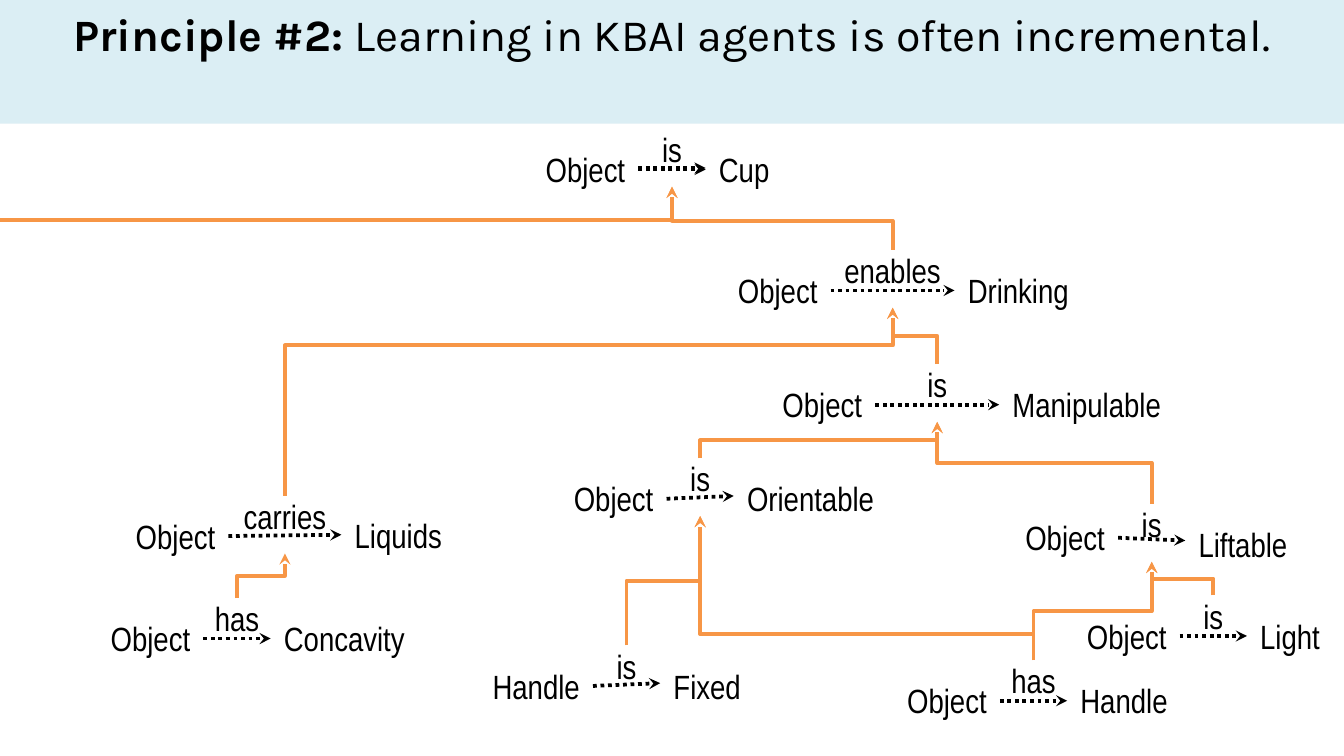
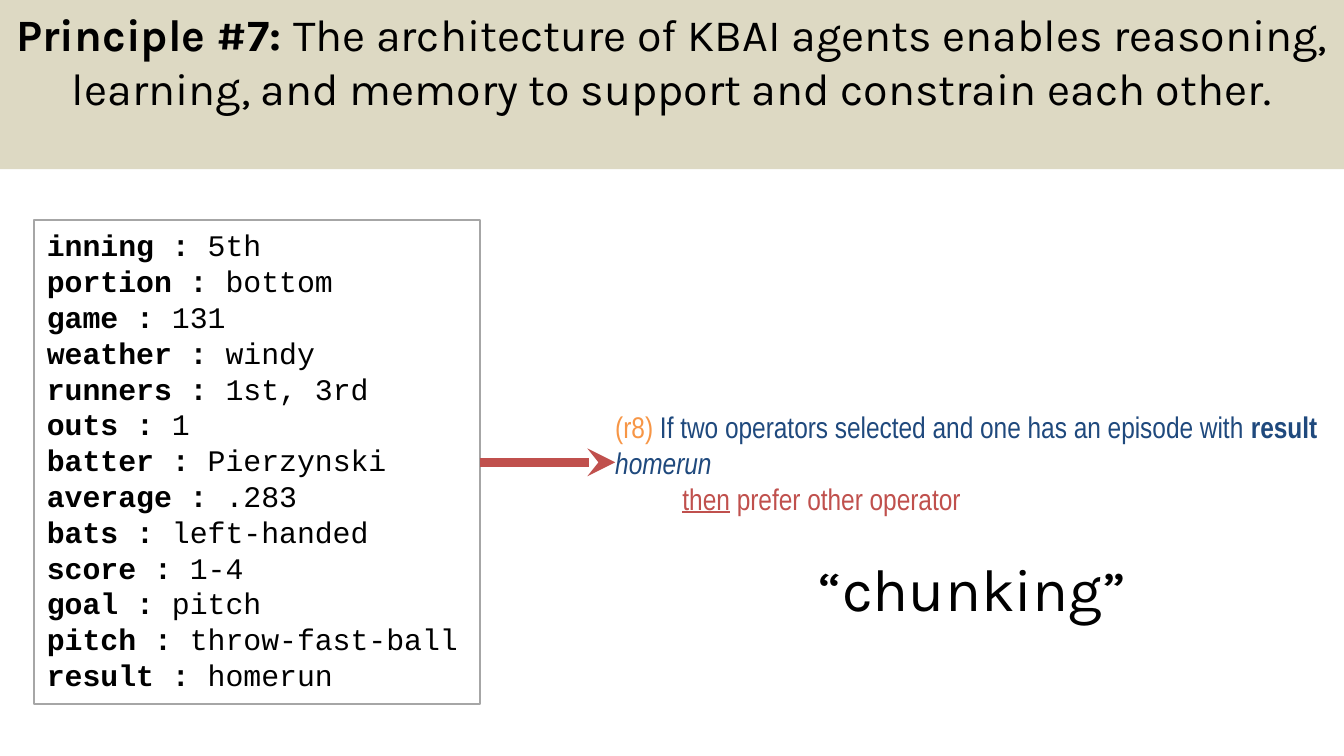
from lxml.etree import SubElement
from pptx import Presentation
from pptx.dml.color import RGBColor
from pptx.enum.dml import MSO_LINE
from pptx.enum.shapes import MSO_CONNECTOR, MSO_SHAPE
from pptx.enum.text import MSO_ANCHOR, MSO_AUTO_SIZE, PP_ALIGN
from pptx.oxml.ns import qn
from pptx.util import Pt

BLACK, ORANGE, RED, NAVY, GRAY = "000000", "F79646", "C0504D", "1F497D", "A6A6A6"
LEFT, MID, RIGHT = PP_ALIGN.LEFT, PP_ALIGN.CENTER, PP_ALIGN.RIGHT
NARROW, MONO, KARLA = "Arial Narrow", "Courier New", "Karla"

# key: arrow start x, row y, arrow length, subject, verb, object, object width, drop, tilt
FACTS = {
    "cup": (342, 76.3, 36, "Object", "is", "Cup", 48, 0, 0),
    "hollow": (109, 327.6, 36, "Object", "has", "Concavity", 103, 0, 0),
    "light": (632, 326.2, 36, "Object", "is", "Light", 78.5, 0, 0),
    "handle": (535.7, 360.9, 36, "Object", "has", "Handle", 75.6, 0, 0),
    "liquid": (122.4, 272.7, 60.5, "Object", "carries", "Liquids", 75.6, -0.5, -0.7),
    "lift": (599, 273.6, 36, "Object", "is", "Liftable", 78.5, 3.6, 1.5),
    "drink": (445, 141.1, 66.4, "Object", "enables", "Drinking", 90.7, 0, 0),
    "fixed": (317.7, 353, 36, "Handle", "is", "Fixed", 75.6, 0, -1.5),
    "move": (468.9, 202.3, 66.4, "Object", "is", "Manipulable", 115, 0, 0),
    "orient": (357.1, 252.7, 36, "Object", "is", "Orientable", 108.7, 0, -1.5),
}
LINKS = [
    ("hollow", "liquid", 0.5), ("light", "lift", 0.5), ("handle", "lift", 0.5),
    ("liquid", "drink", 0.8), ("lift", "move", 0.5), ("drink", "cup", 0.46),
    ("fixed", "orient", 0.5), ("move", "drink", 0.5), ("orient", "move", 0.5),
    ("handle", "orient", 0.18),
]
GAME = [
    ("inning", "5th"), ("portion", "bottom"), ("game", "131"), ("weather", "windy"),
    ("runners", "1st, 3rd"), ("outs", "1"), ("batter", "Pierzynski"),
    ("average", ".283"), ("bats", "left-handed"), ("score", "1-4"),
    ("goal", "pitch"), ("pitch", "throw-fast-ball"), ("result", "homerun"),
]


def tint(code):
    """Turn a hex string into a colour."""
    return RGBColor.from_string(code)


class Deck:
    """Holds the style and the current slide."""

    def __init__(self):
        """Start an empty deck."""
        self.show = Presentation()
        self.show.slide_width, self.show.slide_height = Pt(720), Pt(405)

    def page(self):
        """Add a blank slide and make it current."""
        self.shapes = self.show.slides.add_slide(self.show.slide_layouts[6]).shapes

    def label(self, shape, paras, font, size, align=LEFT, pad=(7.2, 3.6),
              grow=False, wrap=True, mid=False):
        """Fill a shape with paragraphs of (text, colour, marks) runs."""
        frame = shape.text_frame
        frame.word_wrap = wrap
        frame.auto_size = MSO_AUTO_SIZE.SHAPE_TO_FIT_TEXT if grow else MSO_AUTO_SIZE.NONE
        frame.vertical_anchor = MSO_ANCHOR.MIDDLE if mid else MSO_ANCHOR.TOP
        frame.margin_left = frame.margin_right = Pt(pad[0])
        frame.margin_top = frame.margin_bottom = Pt(pad[1])
        for i, runs in enumerate(paras):
            para = frame.add_paragraph() if i else frame.paragraphs[0]
            para.alignment = align
            for text, code, marks in runs:
                run = para.add_run()
                run.text = text
                face = run.font
                face.name, face.size, face.color.rgb = font, Pt(size), tint(code)
                face.bold, face.italic, face.underline = (m in marks for m in "biu")

    def text(self, x, y, w, h, paras, font, size, **style):
        """Add a text box."""
        box = self.shapes.add_textbox(Pt(x), Pt(y), Pt(w), Pt(h))
        self.label(box, paras, font, size, **style)
        return box

    def rect(self, x, y, w, h, fill=None, edge=None):
        """Add a plain rectangle."""
        box = self.shapes.add_shape(MSO_SHAPE.RECTANGLE, Pt(x), Pt(y), Pt(w), Pt(h))
        box.shadow.inherit = False
        if fill:
            box.fill.solid()
            box.fill.fore_color.rgb = tint(fill)
        else:
            box.fill.background()
        if edge:
            box.line.color.rgb, box.line.width = tint(edge), Pt(1)
        else:
            box.line.fill.background()
        return box

    def band(self, h, fill, name, rest):
        """Add the title band."""
        runs = [(name, BLACK, "b"), (rest, BLACK, "")]
        self.label(self.rect(0, 0, 720, h, fill), [runs], KARLA, 24, MID)

    def arrow(self, x1, y1, x2, y2, code, width=2, dots=False, kind=MSO_CONNECTOR.STRAIGHT):
        """Add a line with a stealth head."""
        line = self.shapes.add_connector(kind, Pt(x1), Pt(y1), Pt(x2), Pt(y2))
        line.line.color.rgb, line.line.width = tint(code), Pt(width)
        if dots:
            line.line.dash_style = MSO_LINE.ROUND_DOT
        props = line._element.spPr
        SubElement(props.find(qn("a:ln")), qn("a:tailEnd"), type="stealth")
        SubElement(props, qn("a:effectLst"))
        return line

    def elbow(self, x1, y1, x2, y2, bend):
        """Add a bent arrow that rises, crosses at the bend and rises again."""
        half, rise = (x2 - x1) / 2, (y1 - y2) / 2
        x, y = (x1 + x2) / 2, (y1 + y2) / 2
        line = self.arrow(x - rise, y - half, x + rise, y + half, ORANGE,
                          kind=MSO_CONNECTOR.ELBOW)
        props = line._element.spPr
        props.find(qn("a:xfrm")).set("rot", "16200000")
        geom = props.find(qn("a:prstGeom"))
        guides = geom.find(qn("a:avLst"))
        if guides is None:
            guides = SubElement(geom, qn("a:avLst"))
        SubElement(guides, qn("a:gd"), name="adj1", fmla=f"val {round(bend * 100000)}")

    def fact(self, x, y, gap, who, verb, what, wide, drop, tilt):
        """Add subject, verb arrow and object; return the verb's middle, top and foot."""
        def word(left, top, w, h, term, **style):
            self.text(left, top, w, h, [[(term, BLACK, "")]], NARROW, 18, **style)

        word(x - 75.6, y, 75.6, 29, who, align=RIGHT, grow=True)
        word(x + gap, y + drop, wide, 29, what, grow=True)
        self.arrow(x, y + 14.5, x + gap, y + 14.5 + tilt, BLACK, dots=True)
        top = y - 7.2 + max(drop, 0)
        word(x, top, gap, 31, verb, align=MID, pad=(0, 0))
        return x + gap / 2, top, top + 31


def learn(deck):
    """Build the slide on learning step by step."""
    deck.page()
    spots = {key: deck.fact(*row) for key, row in FACTS.items()}
    for kid, goal, bend in LINKS:
        deck.elbow(*spots[kid][:2], spots[goal][0], spots[goal][2], bend)
    x, top, foot = spots["cup"]
    deck.elbow(0, 118, x, foot, 0.01)
    deck.arrow(x - 18, 90, x + 18, 90, BLACK, dots=True)
    deck.band(66.3, "DBEEF4", "Principle #2: ",
              "Learning in KBAI agents is often incremental.")


def chunk(deck):
    """Build the slide on chunking."""
    deck.page()
    box = deck.rect(18, 118, 239, 259.4, edge=GRAY)
    rows = [[(f"{key} : ", BLACK, "b"), (value, BLACK, "")] for key, value in GAME]
    deck.label(box, rows, MONO, 16, grow=True)
    rule = deck.text(329.6, 103, 377.4, 289.4, [
        [("(r8) ", ORANGE, ""),
         ("If two operators selected and one has an episode with ", NAVY, ""),
         ("result ", NAVY, "b"), ("homerun", NAVY, "i")],
        [("then", RED, "u"), (" prefer other operator", RED, "")],
    ], NARROW, 16, pad=(0, 3.6), mid=True)
    props = rule.text_frame.paragraphs[1]._p.get_or_add_pPr()
    props.set("marL", str(Pt(36)))
    props.set("indent", "0")
    line = deck.arrow(257, 247.7, 329.6, 247.7, RED, 5)
    line.begin_connect(box, 3)
    line.end_connect(rule, 1)
    deck.text(431.2, 292.3, 198, 46, [[("“chunking”", BLACK, "")]], KARLA, 32,
              grow=True, wrap=False)
    deck.band(90.6, "DDD9C3", "Principle #7: ",
              "The architecture of KBAI agents enables reasoning, learning, "
              "and memory to support and constrain each other.")


def main():
    """Build and save the deck."""
    deck = Deck()
    learn(deck)
    chunk(deck)
    deck.show.save("out.pptx")


if __name__ == "__main__":
    main()
